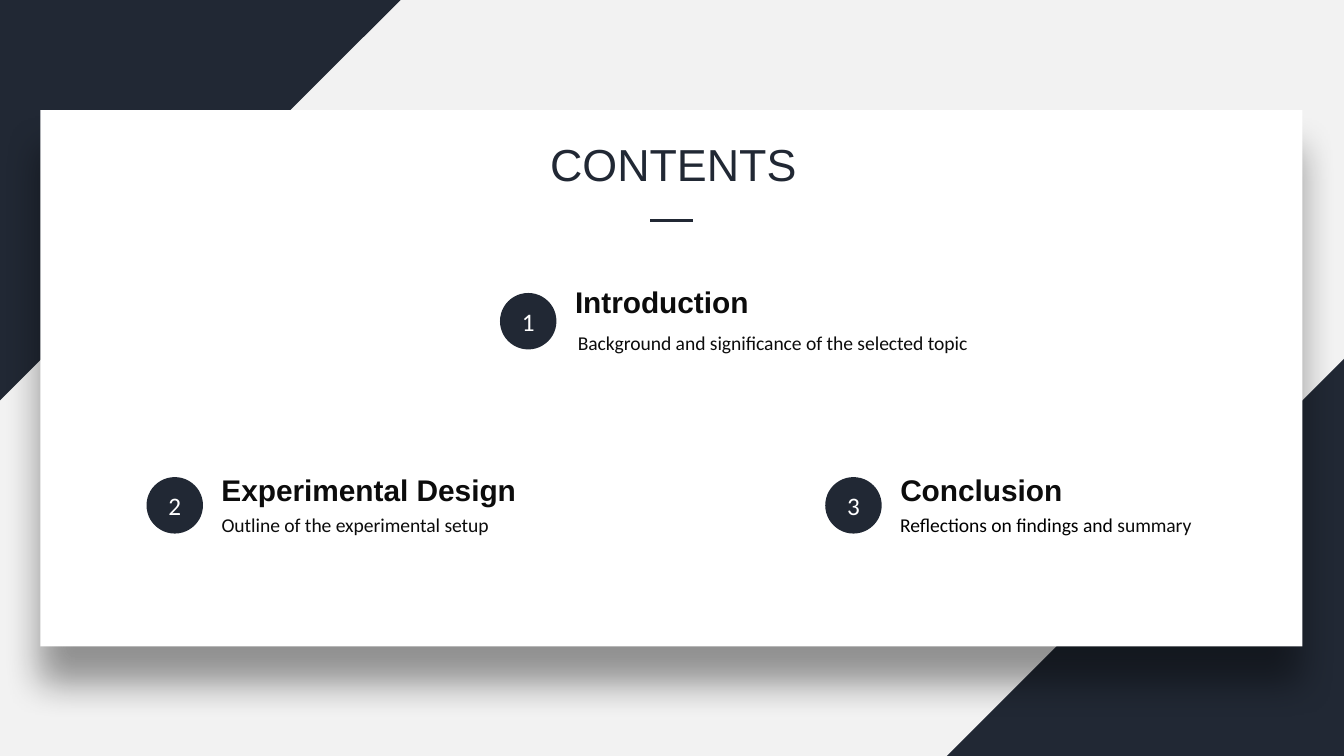
from lxml import etree
from pptx import Presentation
from pptx.dml.color import RGBColor
from pptx.enum.shapes import MSO_CONNECTOR, MSO_SHAPE
from pptx.enum.text import MSO_ANCHOR, MSO_AUTO_SIZE, PP_ALIGN
from pptx.oxml import parse_xml
from pptx.oxml.ns import nsdecls, qn
from pptx.util import Inches, Pt

NAVY, WHITE, INK, PALE, BLACK = "212834", "FFFFFF", "0C0C0C", "F2F2F2", "000000"
HEADING, BODY = "Arial", "Calibri"
LEFT, CENTER = PP_ALIGN.LEFT, PP_ALIGN.CENTER


def rgb(value):
    return RGBColor.from_string(value)


def write(frame, text, size=10.5, font=BODY, color=INK, bold=False, align=LEFT):
    """Append a run to the first paragraph of the frame."""
    paragraph = frame.paragraphs[0]
    paragraph.alignment = align
    run = paragraph.add_run()
    run.text = text
    run.font.size = Pt(size)
    run.font.name = font
    run.font.bold = bold
    run.font.color.rgb = rgb(color)


class ContentsSlide:
    def __init__(self, prs):
        self.slide = prs.slides.add_slide(prs.slide_layouts[6])
        self.shapes = self.slide.shapes
        background = self.slide.background.fill
        background.solid()
        background.fore_color.rgb = rgb(PALE)

    def shape(self, kind, left, top, width, height, color=NAVY, rotation=0):
        shape = self.shapes.add_shape(kind, *map(Inches, (left, top, width, height)))
        shape.rotation = rotation
        shape.shadow.inherit = False
        shape.fill.solid()
        shape.fill.fore_color.rgb = rgb(color)
        shape.line.fill.background()
        return shape

    def card(self, left, top, width, height):
        """Add a white panel with a soft shadow falling straight down."""
        panel = self.shape(MSO_SHAPE.RECTANGLE, left, top, width, height, WHITE)
        effects = panel._element.spPr.find(qn("a:effectLst"))
        effects.append(parse_xml(
            f'<a:outerShdw {nsdecls("a")} blurRad="{Pt(20)}" dist="{Pt(20)}" '
            f'dir="5400000" algn="t" rotWithShape="0"><a:srgbClr val="{BLACK}">'
            '<a:alpha val="40000"/></a:srgbClr></a:outerShdw>'))

    def label(self, text, left, top, width, height, **style):
        box = self.shapes.add_textbox(*map(Inches, (left, top, width, height)))
        frame = box.text_frame
        frame.word_wrap = True
        frame.auto_size = MSO_AUTO_SIZE.SHAPE_TO_FIT_TEXT
        write(frame, text, **style)
        return frame

    def badge(self, number, left, top, size=0.42):
        circle = self.shape(MSO_SHAPE.OVAL, left, top, size, size)
        frame = circle.text_frame
        frame.vertical_anchor = MSO_ANCHOR.MIDDLE
        write(frame, str(number), size=13.5, color=WHITE, align=CENTER)

    def rule(self, left, right, y):
        line = self.shapes.add_connector(
            MSO_CONNECTOR.STRAIGHT, *map(Inches, (left, y, right, y)))
        line.line.color.rgb = rgb(NAVY)
        line.line.width = Pt(1.5)
        etree.SubElement(line._element.spPr, qn("a:effectLst"))

    def section(self, number, title, summary, left, title_top, badge_top,
                summary_top, title_width, summary_width, **summary_style):
        """Add a numbered entry and return the frame of its summary."""
        self.label(title, left, title_top, title_width, 0.37,
                   size=16, font=HEADING, bold=True)
        frame = self.label(summary, left, summary_top, summary_width, 0.28,
                           **summary_style)
        self.badge(number, left - 0.46, badge_top)
        return frame


def main():
    prs = Presentation()
    prs.slide_width = Inches(10)
    prs.slide_height = prs.slide_width * 9 // 16
    contents = ContentsSlide(prs)

    for left, top, rotation in ((7.03, 2.63, 270), (-0.03, 0, 90)):
        contents.shape(MSO_SHAPE.RIGHT_TRIANGLE, left, top, 3.01, 3.01,
                       rotation=rotation)
    contents.card(0.3, 0.82, 9.39, 3.99)

    upper_row, lower_row = (2.06, 2.18, 2.41), (3.46, 3.55, 3.77)
    contents.section(1, "Introduction",
                     "Background and significance of the selected topic",
                     4.18, *upper_row, 1.62, 3.14, align=CENTER)
    contents.section(2, "Experimental Design", "Outline of the experimental setup",
                     1.55, *lower_row, 2.54, 2.22)
    reflections = contents.section(3, "Conclusion", "Reflections on findings and",
                                   6.6, *lower_row, 3.62, 2.4, color=BLACK)
    write(reflections, " summary")

    contents.label("CONTENTS", 3.41, 0.97, 3.2, 0.5,
                   size=24, font=HEADING, color=NAVY, align=CENTER)
    contents.rule(4.84, 5.16, 1.64)
    prs.save("out.pptx")


if __name__ == "__main__":
    main()
